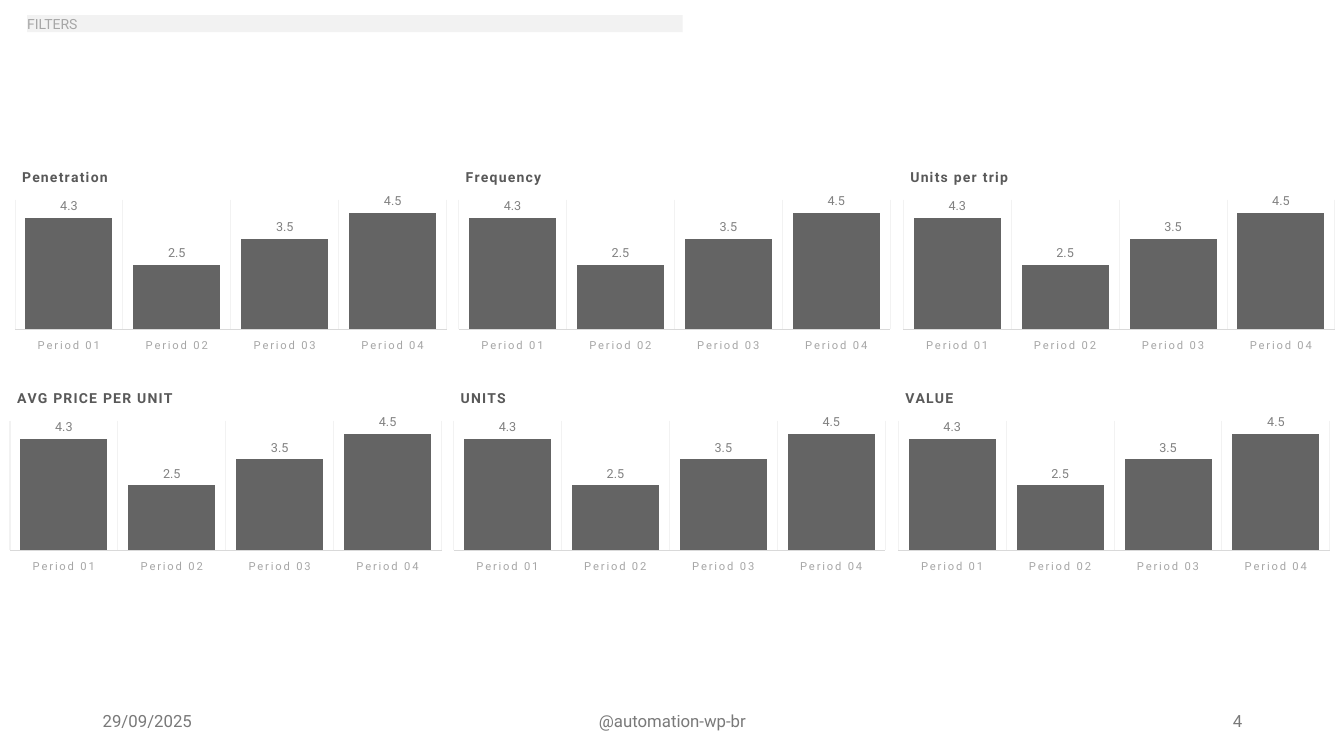
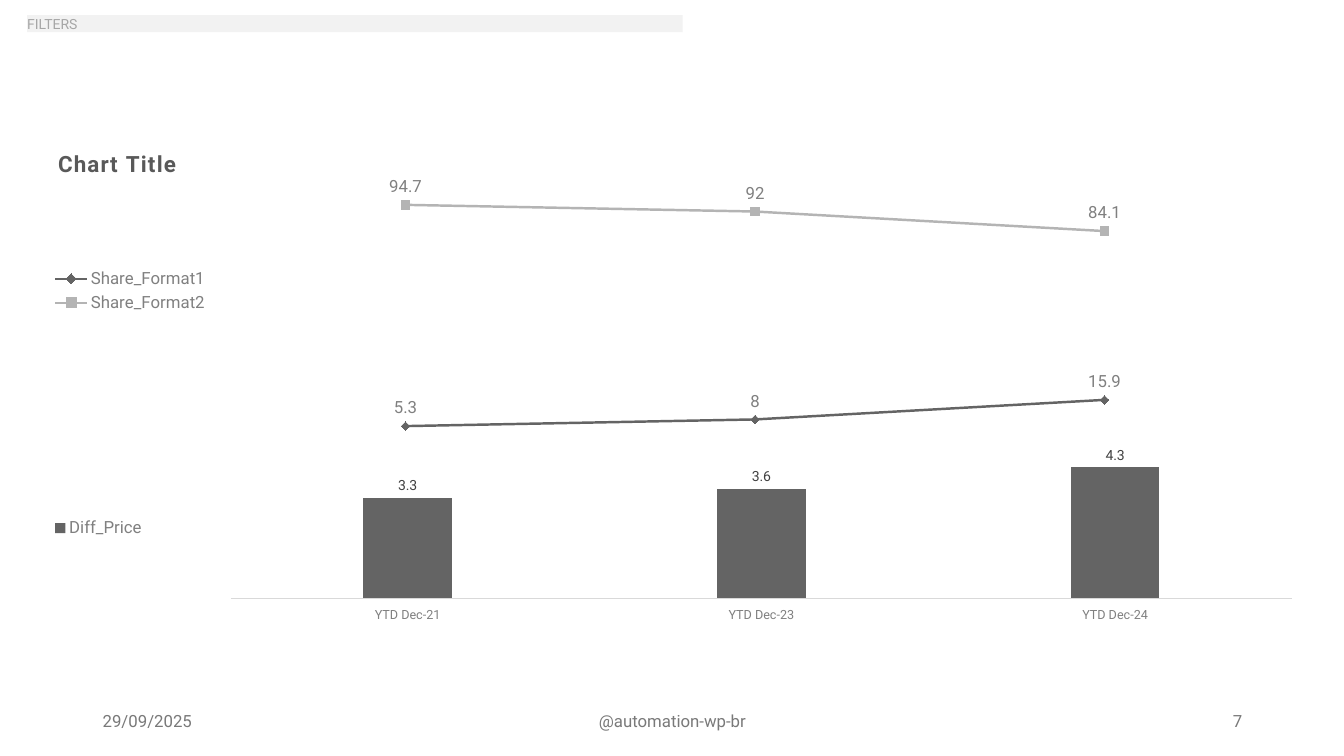
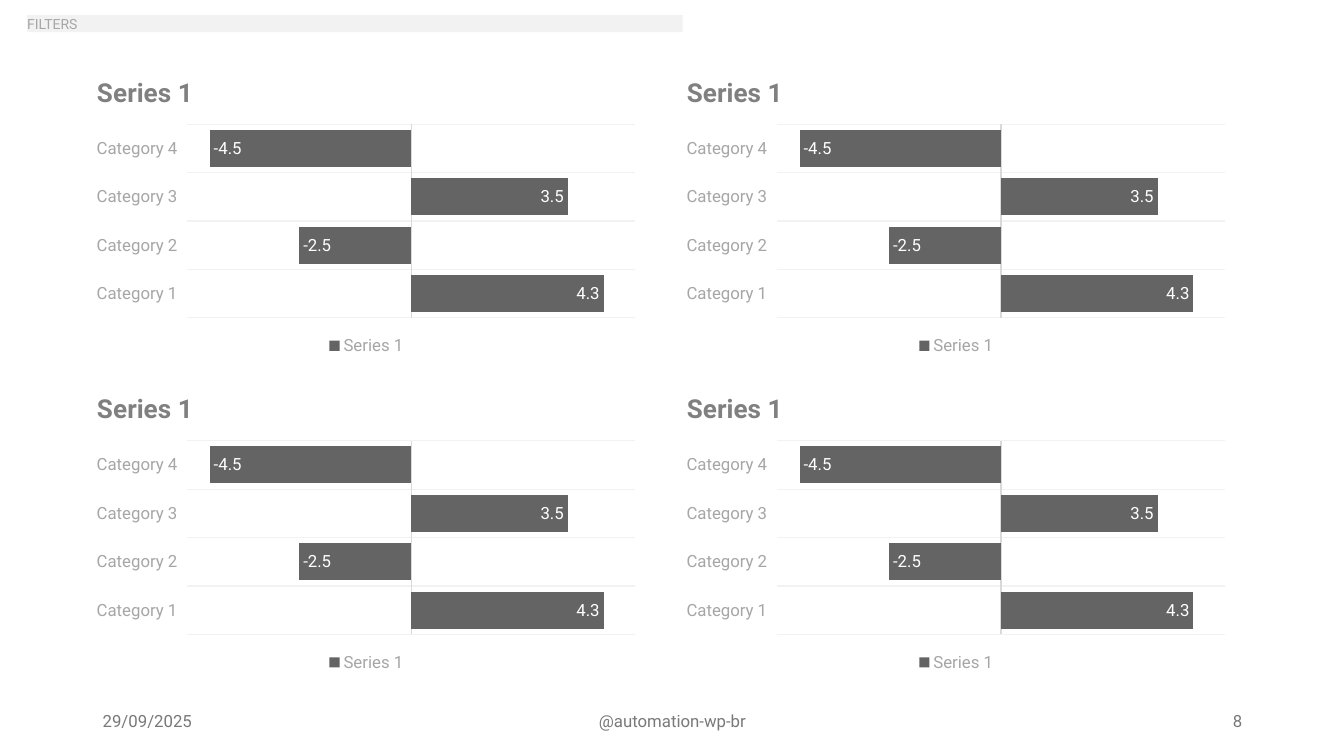
from lxml import etree
from pptx import Presentation
from pptx.chart.data import CategoryChartData
from pptx.dml.color import RGBColor
from pptx.enum.chart import (XL_CHART_TYPE, XL_LABEL_POSITION, XL_LEGEND_POSITION,
                             XL_MARKER_STYLE, XL_TICK_LABEL_POSITION, XL_TICK_MARK)
from pptx.enum.shapes import MSO_SHAPE
from pptx.enum.text import MSO_ANCHOR, MSO_AUTO_SIZE, PP_ALIGN
from pptx.oxml import parse_xml
from pptx.oxml.ns import nsdecls, qn
from pptx.util import Emu, Pt

COLUMNS = XL_CHART_TYPE.COLUMN_CLUSTERED
BARS = XL_CHART_TYPE.BAR_CLUSTERED
LINES = XL_CHART_TYPE.LINE_MARKERS
OUTSIDE_END = XL_LABEL_POSITION.OUTSIDE_END
INSIDE_END = XL_LABEL_POSITION.INSIDE_END
ABOVE = XL_LABEL_POSITION.ABOVE
LEGEND_LEFT = XL_LEGEND_POSITION.LEFT
LEGEND_BOTTOM = XL_LEGEND_POSITION.BOTTOM
DIAMOND = XL_MARKER_STYLE.DIAMOND
SQUARE = XL_MARKER_STYLE.SQUARE
LOW = XL_TICK_LABEL_POSITION.LOW
NO_TICK = XL_TICK_MARK.NONE
RECTANGLE = MSO_SHAPE.RECTANGLE
TOP = MSO_ANCHOR.TOP
MIDDLE = MSO_ANCHOR.MIDDLE
GROW = MSO_AUTO_SIZE.SHAPE_TO_FIT_TEXT
LEFT, CENTER, RIGHT = PP_ALIGN.LEFT, PP_ALIGN.CENTER, PP_ALIGN.RIGHT

PX = 9144
FONT = "Roboto"
BLACK = RGBColor(0x00, 0x00, 0x00)
WHITE = RGBColor(0xFF, 0xFF, 0xFF)
CHARCOAL = RGBColor(0x40, 0x40, 0x40)
TITLE_GRAY = RGBColor(0x59, 0x59, 0x59)
DARK_SERIES = RGBColor(0x64, 0x64, 0x64)
LIGHT_SERIES = RGBColor(0xB4, 0xB4, 0xB4)
FOOTER_GRAY = RGBColor(0x79, 0x79, 0x79)
LABEL_GRAY = RGBColor(0x80, 0x80, 0x80)
MUTED_GRAY = RGBColor(0xA6, 0xA6, 0xA6)
AXIS_GRAY = RGBColor(0xD9, 0xD9, 0xD9)
PALE_GRAY = RGBColor(0xF2, 0xF2, 0xF2)


def px(length):
    return Emu(length * PX)


def style_font(font, size, color, bold=False):
    font.name = FONT
    font.size = Pt(size)
    font.bold = bold
    font.color.rgb = color


def set_layout(parent, index, position, inner=False):
    for old_layout in parent.findall(qn("c:layout")):
        parent.remove(old_layout)
    target = '<c:layoutTarget val="inner"/>' if inner else ""
    numbers = "".join(f'<c:{key} val="{value}"/>' for key, value in zip("xywh", position))
    parent.insert(index, parse_xml(
        f'<c:layout {nsdecls("c")}><c:manualLayout>{target}'
        f'<c:xMode val="edge"/><c:yMode val="edge"/>{numbers}'
        '</c:manualLayout></c:layout>'))


class Deck:
    def __init__(self):
        self.presentation = Presentation()
        self.presentation.slide_width = px(1333)
        self.presentation.slide_height = px(750)
        self.slide = None

    def start_slide(self, number):
        self.slide = self.presentation.slides.add_slide(self.presentation.slide_layouts[6])
        self.footer("29/09/2025", 92, 300, LEFT)
        self.footer("@automation-wp-br", 442, 450, CENTER)
        self.footer(str(number), 942, 300, RIGHT)
        self.filter_band()

    def footer(self, text, left, width, alignment):
        box = self.slide.shapes.add_textbox(px(left), px(695), px(width), px(40))
        frame = box.text_frame
        frame.word_wrap = True
        frame.vertical_anchor = MIDDLE
        self.set_text(frame, text, 12, FOOTER_GRAY, alignment)

    def filter_band(self):
        band = self.slide.shapes.add_shape(RECTANGLE, px(27), px(15), px(650), px(17))
        band.shadow.inherit = False
        band.fill.solid()
        band.fill.fore_color.rgb = PALE_GRAY
        band.line.fill.background()
        frame = band.text_frame
        frame.margin_left = frame.margin_top = frame.margin_right = frame.margin_bottom = 0
        frame.vertical_anchor = TOP
        frame.auto_size = GROW
        self.set_text(frame, "FILTERS", 10, MUTED_GRAY, LEFT)

    def set_text(self, frame, text, size, color, alignment):
        frame.text = text
        paragraph = frame.paragraphs[0]
        paragraph.alignment = alignment
        style_font(paragraph.runs[0].font, size, color)

    def chart(self, kind, box, categories, series, plot_area, value_range):
        data = CategoryChartData()
        data.categories = categories
        for name, values in series:
            data.add_series(name, values)
        frame = self.slide.shapes.add_chart(kind, *map(px, box), data)
        chart = frame.chart
        chart.has_title = False
        chart.has_legend = False
        style_font(chart.font, 10, BLACK)
        chart_element = chart._chartSpace.find(qn("c:chart"))
        chart_element.addnext(parse_xml(
            f'<c:spPr {nsdecls("c", "a")}><a:noFill/><a:ln><a:noFill/></a:ln></c:spPr>'))
        set_layout(chart_element.find(qn("c:plotArea")), 0, plot_area, inner=True)
        axis = chart.value_axis
        axis.minimum_scale, axis.maximum_scale = value_range
        axis.has_major_gridlines = False
        axis.visible = False
        chart.plots[0].vary_by_categories = False
        return chart

    def bars(self, chart, gap, overlap=0):
        plot = chart.plots[0]
        plot.gap_width = gap
        plot.overlap = overlap
        for series in plot.series:
            series.invert_if_negative = False
            series.format.fill.solid()
            series.format.fill.fore_color.rgb = DARK_SERIES

    def lines(self, chart, styles):
        for series, (color, marker) in zip(chart.plots[0].series, styles):
            series.smooth = False
            series.format.line.color.rgb = color
            series.format.line.width = Pt(1.75)
            series.marker.style = marker
            series.marker.size = 6
            series.marker.format.fill.solid()
            series.marker.format.fill.fore_color.rgb = color
            series.marker.format.line.color.rgb = color
        axis_element = chart.value_axis._element
        for crossing in axis_element.findall(qn("c:crossBetween")):
            axis_element.remove(crossing)
        crossing = etree.Element(qn("c:crossBetween"), val="between")
        axis_element.find(qn("c:crosses")).addnext(crossing)

    def title(self, chart, text, size, color, position, spacing=0):
        chart.has_title = True
        frame = chart.chart_title.text_frame
        frame.text = text
        run = frame.paragraphs[0].runs[0]
        style_font(run.font, size, color, bold=True)
        run.font._element.set("spc", str(spacing))
        set_layout(chart.chart_title._element, 1, position)

    def category_axis(self, chart, size, color, grid=False, spacing=0):
        axis = chart.category_axis
        axis.major_tick_mark = axis.minor_tick_mark = NO_TICK
        axis.tick_label_position = LOW
        font = axis.tick_labels.font
        style_font(font, size, color)
        font._element.set("spc", str(spacing))
        axis.format.line.color.rgb = AXIS_GRAY
        axis.format.line.width = Pt(0.75)
        axis.has_major_gridlines = grid
        if grid:
            axis.major_gridlines.format.line.color.rgb = PALE_GRAY
            axis.major_gridlines.format.line.width = Pt(0.75)

    def labels(self, chart, size, color, position, number_format="General"):
        plot = chart.plots[0]
        plot.has_data_labels = True
        labels = plot.data_labels
        labels.show_value = True
        labels.number_format = number_format
        labels.number_format_is_linked = False
        labels.position = position
        style_font(labels.font, size, color)

    def legend(self, chart, position, color):
        chart.has_legend = True
        chart.legend.position = position
        chart.legend.include_in_layout = False
        style_font(chart.legend.font, 12, color)


def build_period_slide(deck):
    deck.start_slide(4)
    periods = [f"Period {number:02}" for number in range(1, 5)]
    rows = [(6, 161, ["Penetration", "Frequency", "Units per trip"]),
            (1, 380, ["AVG PRICE PER UNIT", "UNITS", "VALUE"])]
    for left, top, measures in rows:
        for column, measure in enumerate(measures):
            chart = deck.chart(COLUMNS, (left + 440 * column + column // 2, top, 446, 189), periods,
                               [(measure, (4.3, 2.5, 3.5, 4.5))],
                               (0.02, 0.2, 0.96, 0.69), (0, 5))
            deck.bars(chart, 24, -90)
            deck.title(chart, measure, 10, TITLE_GRAY, (0.03, 0.02), 100)
            deck.category_axis(chart, 8, MUTED_GRAY, grid=True, spacing=120)
            deck.labels(chart, 9, LABEL_GRAY, OUTSIDE_END)


def build_share_slide(deck):
    deck.start_slide(7)
    price = deck.chart(COLUMNS, (41, 427, 1253, 194),
                       ["YTD Dec-21", "YTD Dec-23", "YTD Dec-24"],
                       [("Diff_Price", (3.3, 3.6, 4.3))],
                       (0.15, 0.08, 0.84, 0.78), (0, 5))
    deck.bars(price, 300, -23)
    deck.category_axis(price, 9, LABEL_GRAY)
    deck.labels(price, 10, CHARCOAL, OUTSIDE_END, "0.0")
    deck.legend(price, LEGEND_LEFT, LABEL_GRAY)

    share = deck.chart(LINES, (41, 135, 1253, 307), ["1", "2", "3"],
                       [("Share_Format1", (5.3, 8, 15.9)),
                        ("Share_Format2", (94.7, 92, 84.1))],
                       (0.15, 0.02, 0.83, 0.96), (0, 120))
    deck.lines(share, [(DARK_SERIES, DIAMOND), (LIGHT_SERIES, SQUARE)])
    deck.title(share, "Chart Title", 16, TITLE_GRAY, (0.01, 0.03), 100)
    share.category_axis.visible = False
    deck.labels(share, 12, LABEL_GRAY, ABOVE)
    deck.legend(share, LEGEND_LEFT, LABEL_GRAY)


def build_category_slide(deck):
    deck.start_slide(8)
    categories = [f"Category {number}" for number in range(1, 5)]
    for left in (86, 671):
        for top in (61, 375):
            chart = deck.chart(BARS, (left, top, 555, 296), categories,
                               [("Series 1", (4.3, -2.5, 3.5, -4.5))],
                               (0.18, 0.21, 0.8, 0.65), (-5, 5))
            deck.bars(chart, 32)
            deck.title(chart, "Series 1", 18.6, LABEL_GRAY, (0.01, 0.03))
            deck.category_axis(chart, 12, MUTED_GRAY, grid=True)
            deck.labels(chart, 12, WHITE, INSIDE_END)
            deck.legend(chart, LEGEND_BOTTOM, MUTED_GRAY)


def main():
    deck = Deck()
    build_period_slide(deck)
    build_share_slide(deck)
    build_category_slide(deck)
    deck.presentation.save("out.pptx")


if __name__ == "__main__":
    main()
